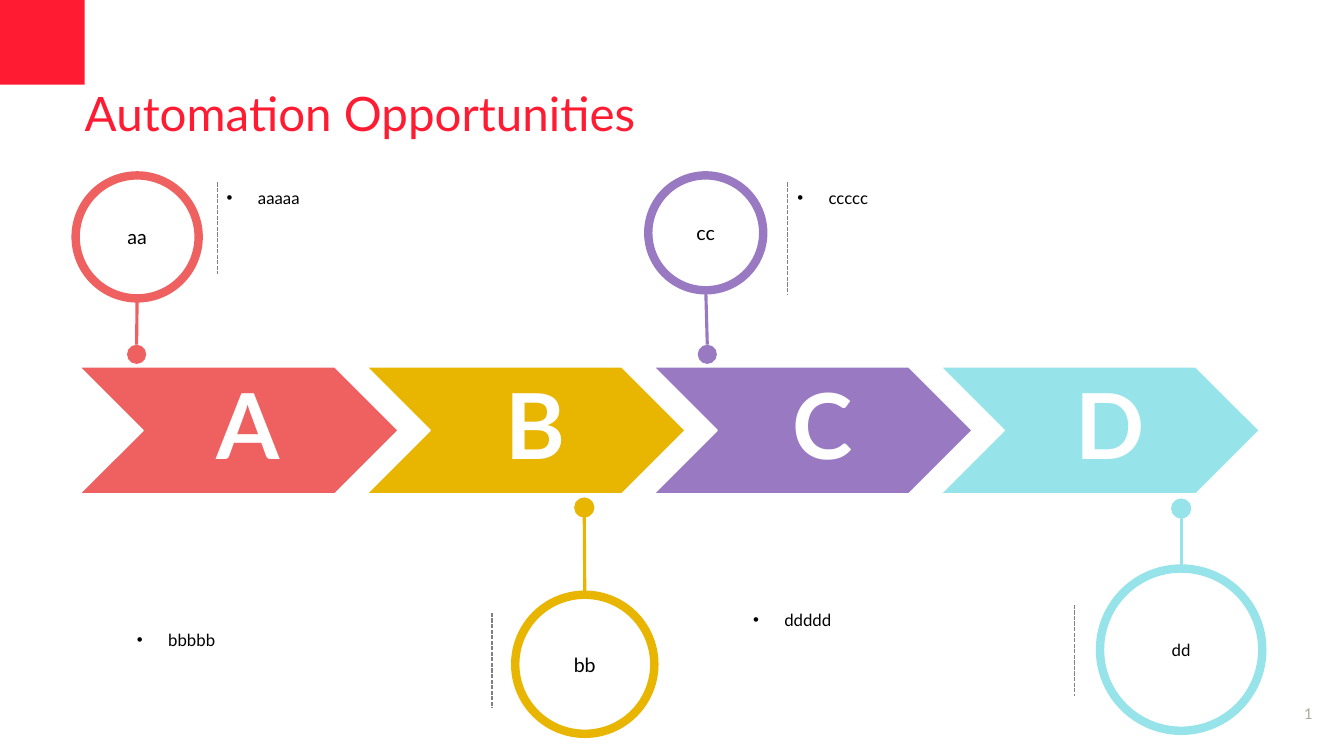
from dataclasses import dataclass

from lxml import etree
from pptx import Presentation
from pptx.dml.color import RGBColor
from pptx.enum.dml import MSO_LINE
from pptx.enum.shapes import MSO_CONNECTOR, MSO_SHAPE
from pptx.enum.text import MSO_ANCHOR, MSO_AUTO_SIZE, PP_ALIGN
from pptx.oxml.ns import qn
from pptx.util import Inches, Pt

RED = RGBColor(0xFF, 0x1C, 0x33)
CORAL = RGBColor(0xEF, 0x60, 0x60)
GOLD = RGBColor(0xE8, 0xB5, 0x00)
PURPLE = RGBColor(0x99, 0x7A, 0xC2)
AQUA = RGBColor(0x96, 0xE4, 0xEA)
WHITE = RGBColor(0xFF, 0xFF, 0xFF)
BLACK = RGBColor(0, 0, 0)
GREY = RGBColor(0x80, 0x80, 0x80)
LIGHT_GREY = RGBColor(0xAA, 0xAA, 0xA5)

RECT, CHEVRON, OVAL = MSO_SHAPE.RECTANGLE, MSO_SHAPE.CHEVRON, MSO_SHAPE.OVAL
STRAIGHT = MSO_CONNECTOR.STRAIGHT
DASH = MSO_LINE.SQUARE_DOT
LEFT, CENTER, RIGHT = PP_ALIGN.LEFT, PP_ALIGN.CENTER, PP_ALIGN.RIGHT
TOP, MIDDLE = MSO_ANCHOR.TOP, MSO_ANCHOR.MIDDLE
NO_FIT = MSO_AUTO_SIZE.NONE

FONT = "Lato"
CHEVRON_LEFT, CHEVRON_TOP, CHEVRON_STEP = 0.79, 3.64, 2.847
CHEVRON_W, CHEVRON_H = 3.16, 1.26
DOT = 0.19
INSETS = ("margin_left", "margin_top", "margin_right", "margin_bottom")


@dataclass(frozen=True)
class Stage:
    letter: str
    color: RGBColor
    above: bool
    label: str
    label_size: int
    ring: tuple[float, float, float]
    dot: tuple[float, float]
    divider: tuple[float, float, float]
    note: str
    note_box: tuple[float, float, float]


STAGES = (
    Stage("A", CORAL, True, "aa", 14, (0.75, 1.74, 1.22), (1.26, 3.42),
          (2.16, 1.81, 2.72), "aaaaa", (2.15, 1.81, 3.28)),
    Stage("B", GOLD, False, "bb", 14, (5.11, 5.9, 1.38), (5.7, 4.94),
          (4.88, 6.08, 7.02), "bbbbb", (1.26, 6.2, 3.55)),
    Stage("C", PURPLE, True, "cc", 14, (6.43, 1.74, 1.14), (6.92, 3.42),
          (7.81, 1.81, 2.92), "ccccc", (7.81, 1.81, 3.91)),
    Stage("D", AQUA, False, "dd", 12, (10.91, 5.64, 1.61), (11.62, 4.95),
          (10.66, 6, 6.9), "ddddd", (7.37, 6, 3.31)),
)


def apply(target, formats: dict) -> None:
    for name, value in formats.items():
        setattr(target, name, value)


def set_font(font, size: float, color: RGBColor, bold: bool = False) -> None:
    apply(font, {"name": FONT, "size": Pt(size), "bold": bold})
    font.color.rgb = color


def write(tf, text: str, size: float, color: RGBColor, align=LEFT,
          anchor=TOP, bold: bool = False, insets=(0, 0, 0, 0)):
    apply(tf, {"word_wrap": True, "auto_size": NO_FIT, "vertical_anchor": anchor})
    apply(tf, {name: Inches(v) for name, v in zip(INSETS, insets)})
    p = tf.paragraphs[0]
    p.alignment = align
    r = p.add_run()
    r.text = text
    set_font(r.font, size, color, bold)
    return p


def add_figure(s, kind, box, fill=None, line=None, width: float = 1):
    sp = s.shapes.add_shape(kind, *map(Inches, box))
    sp.shadow.inherit = False
    if fill is None:
        sp.fill.background()
    else:
        sp.fill.solid()
        sp.fill.fore_color.rgb = fill
    if line is None:
        sp.line.fill.background()
    else:
        sp.line.color.rgb = line
        sp.line.width = Pt(width)
    return sp


def add_line(s, start, end, color: RGBColor, width: float):
    line = s.shapes.add_connector(STRAIGHT, *map(Inches, (*start, *end)))
    line.line.color.rgb = color
    line.line.width = Pt(width)
    etree.SubElement(line._element.spPr, qn("a:effectLst"))
    return line


def add_chevron(s, index: int, stage: Stage) -> None:
    left = CHEVRON_LEFT + index * CHEVRON_STEP
    sp = add_figure(s, CHEVRON, (left, CHEVRON_TOP, CHEVRON_W, CHEVRON_H),
                    stage.color, WHITE)
    p = write(sp.text_frame, stage.letter, 65, WHITE, CENTER, MIDDLE, True,
              (0.28, 0.09, 0.09, 0.09))
    p.line_spacing = 0.9


def add_callout(s, stage: Stage) -> None:
    outline = None if stage.above else stage.color
    dot = add_figure(s, OVAL, (*stage.dot, DOT, DOT), stage.color, outline, 0.75)
    x, y, size = stage.ring
    ring = add_figure(s, OVAL, (x, y, size, size), None, stage.color, 6)
    write(ring.text_frame, stage.label, stage.label_size, BLACK, CENTER, MIDDLE)
    lower = dot if stage.above else ring
    if stage.above:
        start = (x + size / 2, y + size)
    else:
        start = (stage.dot[0] + DOT / 2, stage.dot[1] + DOT)
    end = (x + size / 2, y)
    stem = add_line(s, start, end, stage.color, 2.25)
    stem.end_connect(lower, 0)


def add_note(s, stage: Stage) -> None:
    x, top, bottom = stage.divider
    divider = add_line(s, (x, top), (x, bottom), GREY, 1)
    divider.line.dash_style = DASH
    box = s.shapes.add_textbox(*map(Inches, (*stage.note_box, 0.3)))
    p = write(box.text_frame, stage.note, 12, BLACK, insets=(0.1, 0.05, 0.1, 0.05))
    pPr = p._p.get_or_add_pPr()
    pPr.set("marL", str(Inches(0.31)))
    pPr.set("indent", str(-Inches(0.31)))
    etree.SubElement(pPr, qn("a:buFont"), typeface="Arial")
    etree.SubElement(pPr, qn("a:buChar"), char="•")


def add_title(s, text: str) -> None:
    title = s.shapes.title
    apply(title, {"left": Inches(0.84), "top": Inches(0.93),
                  "width": Inches(11.66), "height": Inches(0.54)})
    p = write(title.text_frame, text, 33.9, RED)
    p.line_spacing = Pt(33.9)


def add_slide_number(s) -> None:
    box = s.shapes.add_textbox(*map(Inches, (12.56, 6.99, 0.46, 0.18)))
    p = write(box.text_frame, "1", 10.6, LIGHT_GREY, RIGHT)
    r = p.runs[0]._r
    r.tag = qn("a:fld")
    r.set("id", "{B6F15528-21DE-4FAA-801E-634DDDAF4B2B}")
    r.set("type", "slidenum")


def main() -> None:
    prs = Presentation()
    apply(prs, {"slide_width": Inches(13.33), "slide_height": Inches(7.5)})
    s = prs.slides.add_slide(prs.slide_layouts[5])
    add_figure(s, RECT, (0, 0, 0.84, 0.84), RED)
    add_slide_number(s)
    add_title(s, "Automation Opportunities")
    for index, stage in enumerate(STAGES):
        add_chevron(s, index, stage)
    for stage in STAGES:
        add_callout(s, stage)
        add_note(s, stage)
    prs.save("out.pptx")


if __name__ == "__main__":
    main()
